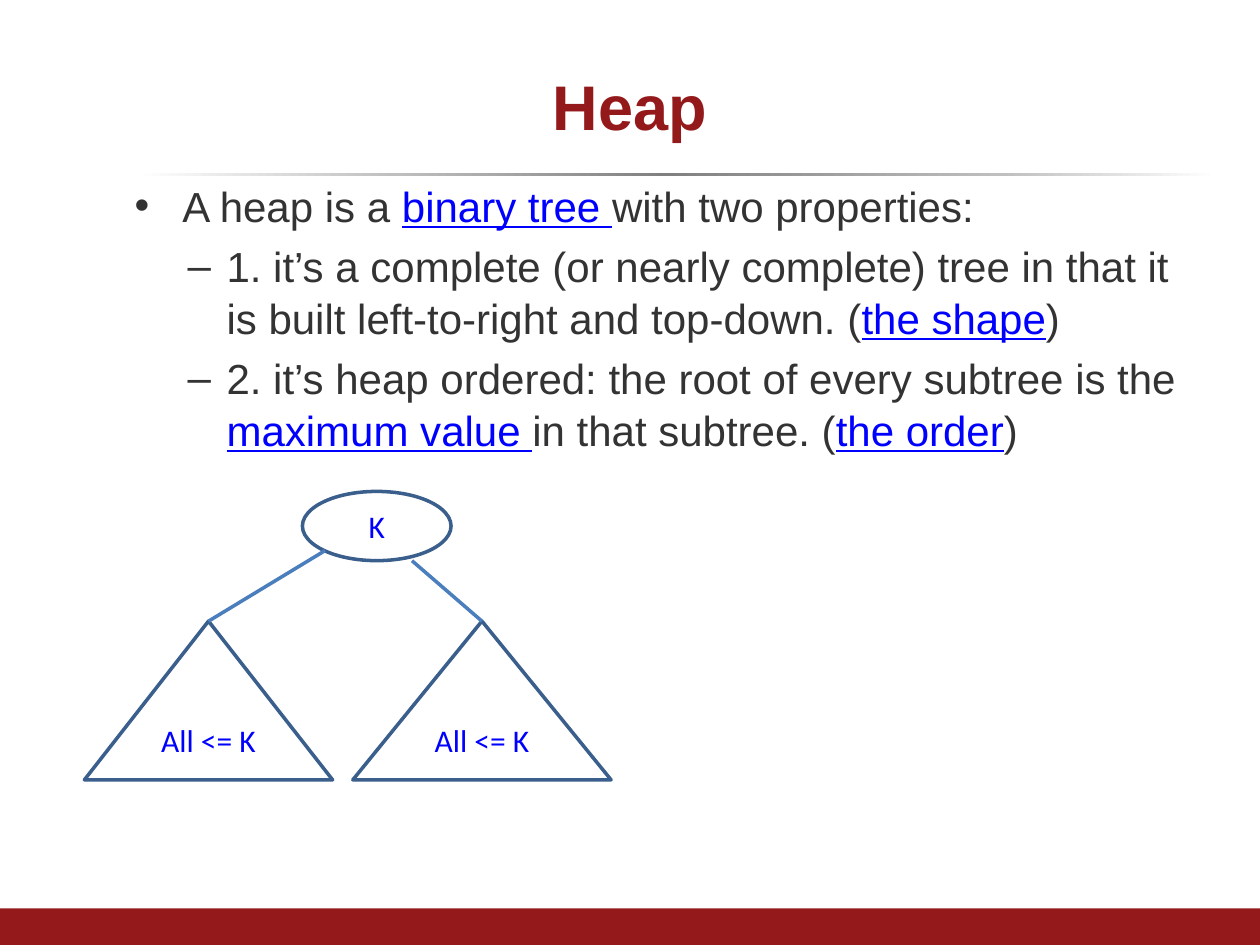
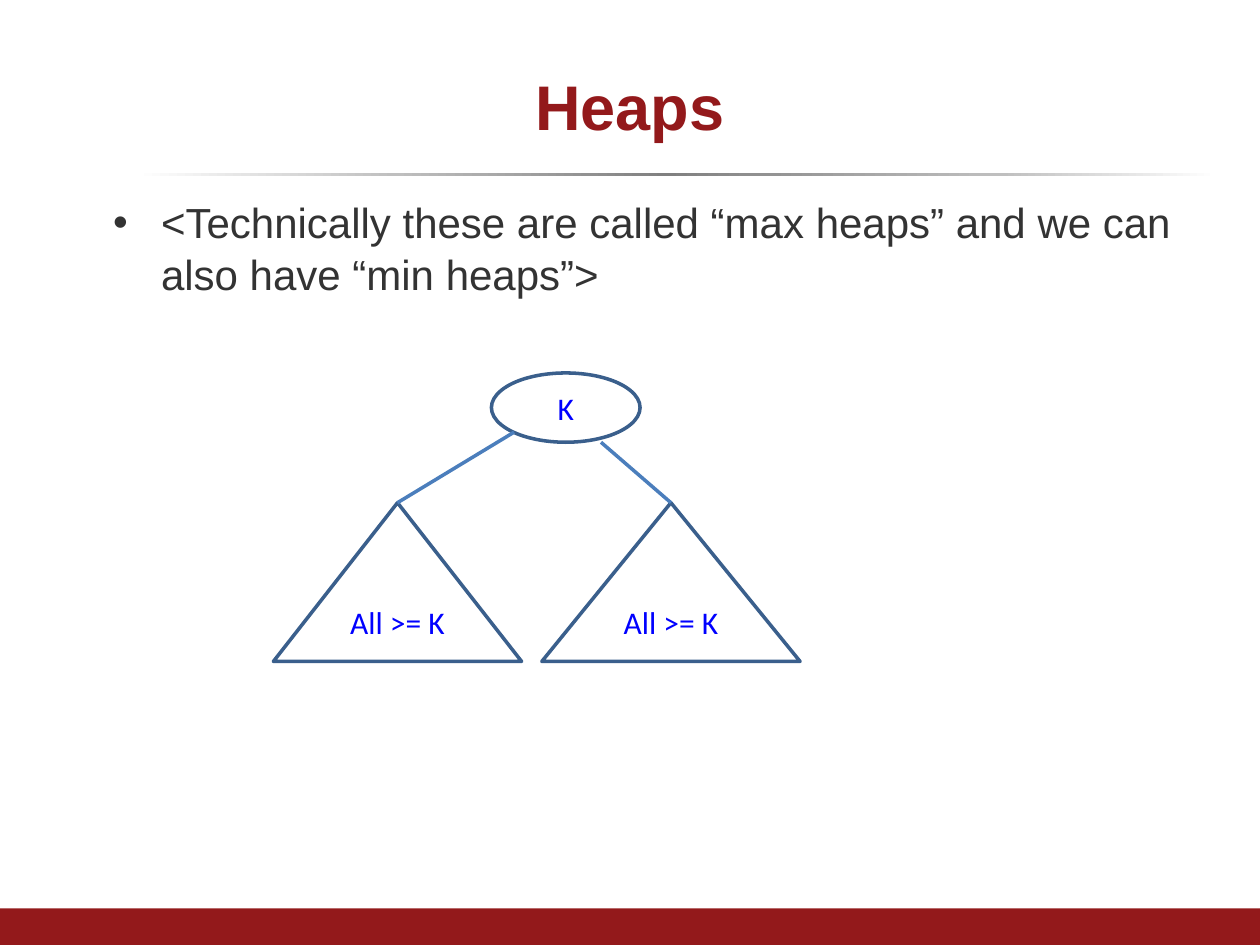
from dataclasses import dataclass

from lxml.etree import SubElement
from pptx import Presentation
from pptx.dml.color import RGBColor
from pptx.enum.shapes import MSO_CONNECTOR, MSO_SHAPE
from pptx.enum.text import MSO_ANCHOR, MSO_AUTO_SIZE, PP_ALIGN
from pptx.oxml.ns import qn
from pptx.util import Inches, Pt

WHITE = RGBColor(0xFF, 0xFF, 0xFF)
SILVER = RGBColor(0xBF, 0xBF, 0xBF)
GRAY = RGBColor(0x80, 0x80, 0x80)
CRIMSON = RGBColor(0x93, 0x19, 0x1B)
CHARCOAL = RGBColor(0x33, 0x33, 0x33)
BLUE = RGBColor(0x00, 0x00, 0xFF)
OUTLINE = RGBColor(0x3A, 0x5F, 0x8C)
BRANCH = RGBColor(0x4B, 0x7E, 0xBC)

RULE_STOPS = ((0, WHITE), (24, SILVER), (49, GRAY), (80, SILVER), (100, WHITE))
BULLETS = (("\u2022", 0.68, -0.38), ("\u2013", 1.03, -0.31))
ROOT_WIDTH, ROOT_HEIGHT = 1.18, 0.55
SUBTREE_DROP, SUBTREE_HEIGHT = 1.03, 1.26


@dataclass(frozen=True)
class Point:
    text: str
    level: int = 0
    space_before: float = 4.8


@dataclass(frozen=True)
class Subtree:
    offset: float
    width: float
    branch_x: float
    branch_y: float


@dataclass(frozen=True)
class HeapSlide:
    title: str
    body_left: float
    body_top: float
    points: tuple[Point, ...]
    root_left: float
    root_top: float
    subtree_label: str


SUBTREES = (Subtree(-1.73, 1.97, 0.18, 0.47), Subtree(0.4, 2.05, 0.87, ROOT_HEIGHT))

SLIDES = (
    HeapSlide("Heap", 0.67, 1.37, (
        Point("A heap is a |binary tree |with two properties:"),
        Point("1. it\u2019s a complete (or nearly complete) tree in that it is built "
              "left-to-right and top-down. (|the shape|)", level=1),
        Point("2. it\u2019s heap ordered: the root of every subtree is the "
              "|maximum value |in that subtree. (|the order|)", level=1),
    ), 2.4, 3.9, "All <= K"),
    HeapSlide("Heaps", 0.5, 1.5, (
        Point("<Technically these are called \u201cmax heaps\u201d and we can also have "
              "\u201cmin heaps\u201d>", space_before=14.7),
    ), 3.9, 2.96, "All >= K"),
)


def add_text(paragraph, text: str, *, size: float, color: RGBColor, font: str = "Arial",
             bold: bool = False, underline: bool = False, align=None) -> None:
    run = paragraph.add_run()
    run.text = text
    run.font.name = font
    run.font.size = Pt(size)
    run.font.bold = bold
    run.font.underline = underline
    run.font.color.rgb = color
    if align is not None:
        paragraph.alignment = align


def add_shape(slide, kind, left: float, top: float, width: float, height: float):
    shape = slide.shapes.add_shape(kind, Inches(left), Inches(top), Inches(width), Inches(height))
    shape.shadow.inherit = False
    return shape


def add_bands(slide) -> None:
    rule = add_shape(slide, MSO_SHAPE.RECTANGLE, 1.08, 1.37, 8.58, 0.03)
    rule.line.fill.background()
    rule.fill.gradient()
    rule.fill.gradient_angle = 0
    stops = rule.element.spPr.find(".//" + qn("a:gsLst"))
    for stop in list(stops):
        stops.remove(stop)
    for position, color in RULE_STOPS:
        stop = SubElement(stops, qn("a:gs"), pos=str(position * 1000))
        SubElement(stop, qn("a:srgbClr"), val=str(color))

    footer = add_shape(slide, MSO_SHAPE.RECTANGLE, 0, 7.21, 10, 0.29)
    footer.fill.solid()
    footer.fill.fore_color.rgb = CRIMSON
    footer.line.fill.background()


def add_title(slide, text: str) -> None:
    title = slide.shapes.title
    title.left, title.top = Inches(0.5), Inches(0.3)
    title.width, title.height = Inches(9), Inches(1.07)
    frame = title.text_frame
    frame.auto_size = MSO_AUTO_SIZE.NONE
    frame.vertical_anchor = MSO_ANCHOR.MIDDLE
    add_text(frame.paragraphs[0], text, size=36, color=CRIMSON, bold=True,
             align=PP_ALIGN.CENTER)


def set_bullet(paragraph, level: int) -> None:
    character, margin, indent = BULLETS[level]
    paragraph.level = level
    properties = paragraph._p.get_or_add_pPr()
    properties.set("marL", str(Inches(margin)))
    properties.set("indent", str(Inches(indent)))
    SubElement(properties, qn("a:buFont"), typeface="Arial")
    SubElement(properties, qn("a:buChar"), char=character)


def add_body(slide, left: float, top: float, points: tuple[Point, ...]) -> None:
    body = slide.shapes.add_textbox(Inches(left), Inches(top), Inches(9), Inches(5.67))
    frame = body.text_frame
    frame.word_wrap = True
    for index, point in enumerate(points):
        paragraph = frame.add_paragraph() if index else frame.paragraphs[0]
        paragraph.space_before = Pt(point.space_before)
        paragraph.line_spacing = 1.03
        set_bullet(paragraph, point.level)
        for position, segment in enumerate(point.text.split("|")):
            is_term = position % 2 == 1
            add_text(paragraph, segment, size=24, color=BLUE if is_term else CHARCOAL,
                     underline=is_term)


def add_node(slide, kind, left: float, top: float, width: float, height: float,
             label: str) -> None:
    node = add_shape(slide, kind, left, top, width, height)
    node.fill.background()
    node.line.color.rgb = OUTLINE
    node.line.width = Pt(2)
    node.text_frame.vertical_anchor = MSO_ANCHOR.MIDDLE
    add_text(node.text_frame.paragraphs[0], label, size=18, color=BLUE, font="Calibri",
             align=PP_ALIGN.CENTER)


def add_branch(slide, start_x: float, start_y: float, end_x: float, end_y: float) -> None:
    branch = slide.shapes.add_connector(MSO_CONNECTOR.STRAIGHT, Inches(start_x), Inches(start_y),
                                        Inches(end_x), Inches(end_y))
    branch.line.color.rgb = BRANCH
    branch.line.width = Pt(2)
    SubElement(branch.element.spPr, qn("a:effectLst"))


def add_heap(slide, left: float, top: float, subtree_label: str) -> None:
    add_node(slide, MSO_SHAPE.OVAL, left, top, ROOT_WIDTH, ROOT_HEIGHT, "K")
    subtree_top = top + SUBTREE_DROP
    for subtree in SUBTREES:
        subtree_left = left + subtree.offset
        add_node(slide, MSO_SHAPE.ISOSCELES_TRIANGLE, subtree_left, subtree_top,
                 subtree.width, SUBTREE_HEIGHT, subtree_label)
        add_branch(slide, left + subtree.branch_x, top + subtree.branch_y,
                   subtree_left + subtree.width / 2, subtree_top)


def main() -> None:
    presentation = Presentation()
    presentation.slide_width = Inches(10)
    presentation.slide_height = Inches(7.5)
    title_only = presentation.slide_layouts[5]
    for content in SLIDES:
        slide = presentation.slides.add_slide(title_only)
        add_bands(slide)
        add_title(slide, content.title)
        add_body(slide, content.body_left, content.body_top, content.points)
        add_heap(slide, content.root_left, content.root_top, content.subtree_label)
    presentation.save("out.pptx")


main()
